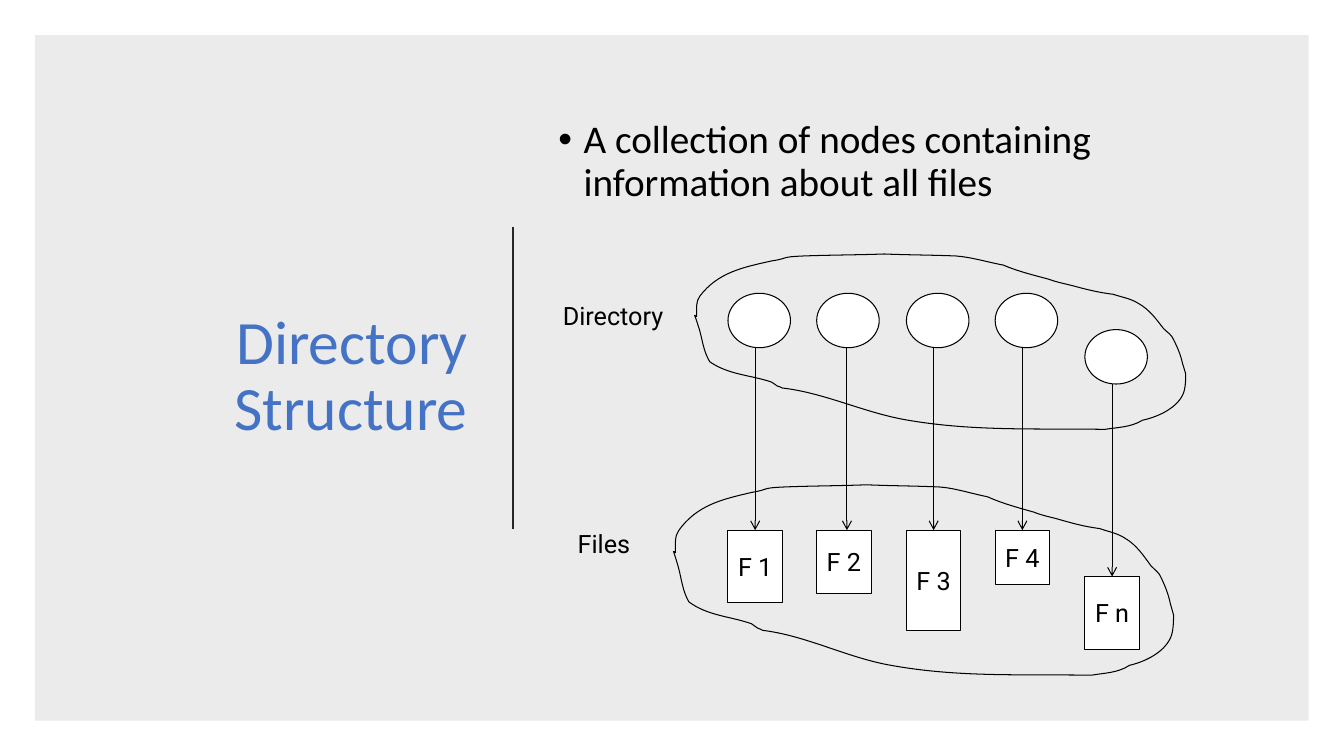
from dataclasses import dataclass

from pptx import Presentation
from pptx import util as u
from pptx.dml.color import RGBColor
from pptx.enum import shapes, text
from pptx.oxml import ns, xmlchemy

PX = 9144  # 100 px to the inch
BLACK = RGBColor(0, 0, 0)
WHITE = RGBColor(255, 255, 255)
BLUE = RGBColor(0x44, 0x72, 0xC4)
DARK = RGBColor(0x26, 0x26, 0x26)
RECT = shapes.MSO_SHAPE.RECTANGLE
OVAL = shapes.MSO_SHAPE.OVAL
MID = text.MSO_ANCHOR.MIDDLE
CENTER = text.PP_ALIGN.CENTER
LEFT, STEP = 722, 88.5
NODE_W, NODE_H, FILE_W = 62, 54, 54


@dataclass(frozen=True)
class Box:
    x: int
    y: int
    w: int
    h: int

    def emu(self) -> tuple:
        return px(self.x), px(self.y), px(self.w), px(self.h)


@dataclass(frozen=True)
class Entry:
    """A directory node with its file; shift moves the arrow off centre."""
    name: str
    node_y: int
    file_y: int
    file_h: int
    shift: int = 0


ENTRIES = [
    Entry("F 1", 291, 526, 72),
    Entry("F 2", 291, 526, 63, 3),
    Entry("F 3", 291, 526, 100),
    Entry("F 4", 291, 526, 54),
    Entry("F n", 327, 572, 72),
]

# Start point, then two control points and an end point for each curve.
FRAME = Box(689, 252, 487, 175)
CLOUD = [
    (691, 314),
    (691, 307), (690, 299), (694, 294), (712, 270), (738, 265), (765, 259),
    (784, 256), (773, 255), (797, 254), (823, 253), (850, 253), (877, 252),
    (901, 253), (924, 253), (948, 254), (963, 255), (979, 260), (995, 263),
    (1009, 269), (1025, 273), (1040, 277), (1048, 280), (1054, 281), (1062, 283),
    (1077, 287), (1088, 290), (1104, 292), (1113, 295), (1121, 296), (1129, 301),
    (1140, 307), (1147, 317), (1154, 326), (1158, 330), (1162, 332), (1164, 337),
    (1168, 345), (1171, 352), (1173, 361), (1174, 364), (1176, 371), (1176, 371),
    (1176, 376), (1176, 386), (1173, 392), (1166, 406), (1147, 414), (1133, 417),
    (1122, 424), (1108, 424), (1096, 426), (1027, 425), (966, 428), (901, 417),
    (858, 410), (819, 390), (776, 385), (775, 384), (773, 384), (771, 383),
    (769, 382), (767, 380), (765, 379), (744, 372), (723, 372), (704, 359),
    (698, 349), (697, 339), (694, 328), (694, 328), (690, 315), (689, 313),
    (689, 312), (690, 314), (691, 314),
]
CLOUDS = [FRAME, Box(668, 481, 496, 190)]
LABELS = [("Directory", Box(544, 291, 128, 44)), ("Files", Box(560, 517, 78, 44))]


def px(n: float) -> int:
    return round(n * PX)


def write(shape, words: str, *, size: int = 18, font: str = "Roboto",
          color: RGBColor = BLACK, align=CENTER, anchor=MID,
          wrap: bool = False, line: float = 1.0):
    frame = shape.text_frame
    frame.word_wrap = wrap
    frame.vertical_anchor = anchor
    para = frame.paragraphs[0]
    para.alignment = align
    para.line_spacing = line
    run = para.add_run()
    run.text = words
    run.font.size = u.Pt(size)
    run.font.name = font
    run.font.color.rgb = color
    return para


def label(pool, box: Box, words: str, **style):
    return write(pool.add_textbox(*box.emu()), words, **style)


def outline(shape, color: RGBColor = BLACK, width: float = 0.75) -> None:
    shape.line.color.rgb = color
    shape.line.width = u.Pt(width)


def solid(pool, kind, box: Box, fill: RGBColor):
    shape = pool.add_shape(kind, *box.emu())
    shape.shadow.inherit = False
    shape.fill.solid()
    shape.fill.fore_color.rgb = fill
    return shape


def add(parent, tag: str, **attrs: str):
    node = xmlchemy.OxmlElement(tag)
    for key, val in attrs.items():
        node.set(key, val)
    parent.append(node)
    return node


def rule(pool, x: float, top: int, end: int, color: RGBColor = BLACK,
         width: float = 0.75, arrow: bool = False):
    link = pool.add_connector(shapes.MSO_CONNECTOR.STRAIGHT,
                              px(x), px(top), px(x), px(end))
    outline(link, color, width)
    if arrow:
        add(link.line._get_or_add_ln(), "a:tailEnd", type="arrow")
    add(link._element.spPr, "a:effectLst")
    return link


def cloud(pool, box: Box) -> None:
    """Fit the closed cloud curve into the box."""
    pts = [(px(box.x + (x - FRAME.x) * box.w / FRAME.w),
            px(box.y + (y - FRAME.y) * box.h / FRAME.h)) for x, y in CLOUD]
    form = pool.build_freeform(*pts[0], scale=1.0)
    form.add_line_segments(pts[1:], close=True)
    shape = form.convert_to_shape()
    shape.shadow.inherit = False
    shape.fill.background()
    outline(shape)
    # Turn each three straight segments into one Bezier curve.
    segs = list(shape._element.iter(ns.qn("a:lnTo")))
    for i in range(0, len(segs), 3):
        curve = xmlchemy.OxmlElement("a:cubicBezTo")
        segs[i].addprevious(curve)
        for seg in segs[i:i + 3]:
            curve.append(seg[0])
            seg.getparent().remove(seg)


def intro(pool) -> None:
    panel = solid(pool, RECT, Box(35, 35, 1263, 680), BLACK)
    panel.line.fill.background()
    tint = next(panel._element.spPr.iter(ns.qn("a:srgbClr")))
    add(tint, "a:alpha", val="8000")
    label(pool, Box(92, 105, 382, 539), "Directory Structure", size=44,
          font="Calibri", color=BLUE, align=text.PP_ALIGN.RIGHT,
          wrap=True, line=0.9)
    rule(pool, 509, 225, 525, DARK, 1.5)
    body = pool.add_textbox(*Box(544, 105, 697, 147).emu())
    body.text_frame.margin_top = px(14)
    para = write(body, "A collection of nodes containing information about all files",
                 size=28, font="Calibri", align=text.PP_ALIGN.LEFT,
                 anchor=text.MSO_ANCHOR.TOP, wrap=True, line=0.9)
    props = para._p.get_or_add_pPr()
    props.set("marL", str(px(25)))
    props.set("indent", str(px(-25)))
    add(props, "a:buFont", typeface="Arial")
    add(props, "a:buChar", char="•")


def chart(pool) -> None:
    """Draw the nodes, their files and the arrows between them."""
    for i, item in enumerate(ENTRIES):
        x = int(LEFT + i * STEP)
        node = solid(pool, OVAL, Box(x, item.node_y, NODE_W, NODE_H), WHITE)
        outline(node)
        file = solid(pool, RECT, Box(x, item.file_y, FILE_W, item.file_h), WHITE)
        outline(file)
        write(file, item.name)
        link = rule(pool, x + FILE_W // 2 + item.shift, item.node_y + NODE_H,
                    item.file_y, arrow=True)
        if not item.shift:
            link.end_connect(file, 0)
    for box in CLOUDS:
        cloud(pool, box)
    for words, box in LABELS:
        label(pool, box, words)


def main() -> None:
    deck = Presentation()
    deck.slide_width, deck.slide_height = px(1333), px(750)
    slide = deck.slides.add_slide(deck.slide_layouts[6])
    intro(slide.shapes)
    chart(slide.shapes.add_group_shape().shapes)
    deck.save("out.pptx")


if __name__ == "__main__":
    main()
